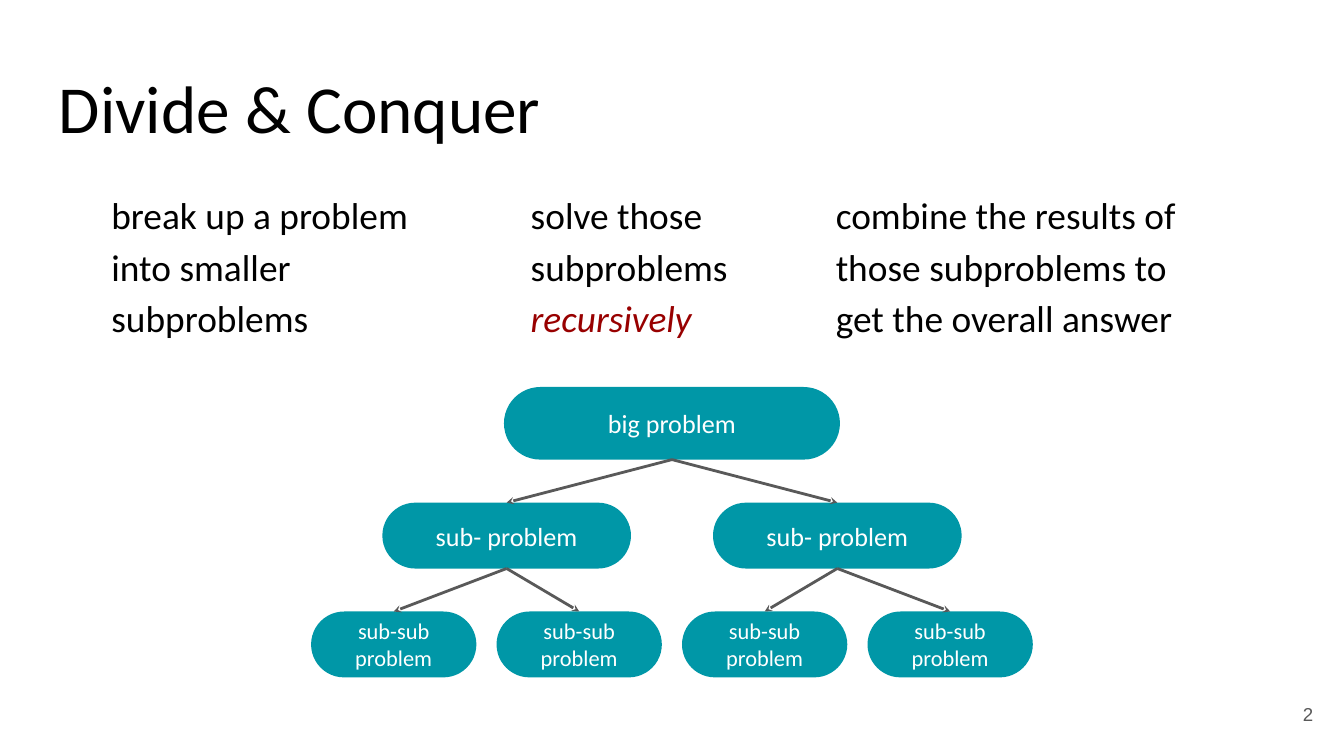
from pptx import Presentation
from pptx.dml.color import RGBColor
from pptx.enum.shapes import MSO_CONNECTOR, MSO_SHAPE
from pptx.enum.text import MSO_ANCHOR, PP_ALIGN
from pptx.oxml.ns import qn
from pptx.util import Inches, Pt
from lxml.etree import SubElement

THEME = {
    "font": "Calibri", "mono": "Arial",
    "ink": "000000", "accent": "980000", "node": "0097A7",
    "light": "FFFFFF", "gray": "595959",
    "title": 36, "body": 20, "page": 10, "line": 1.5,
}
TITLE = ("Divide & Conquer", (0.34, 0.44, 9.32, 0.71))
PAGE = ("2", (9.27, 5.1, 0.6, 0.43))
STEPS = [
    (0.73, 2.69, "break up a problem into smaller subproblems", ""),
    (3.85, 1.85, "solve those subproblems ", "recursively"),
    (6.12, 2.89, "combine the results of those subproblems to get the overall answer", ""),
]
LEVELS = [
    {"text": "big problem", "top": 2.88, "size": (2.5, 0.54), "pitch": 0, "font": 14},
    {"text": "sub- problem", "top": 3.74, "size": (1.85, 0.49), "pitch": 2.46, "font": 14},
    {"text": "sub-sub problem", "top": 4.55, "size": (1.23, 0.49), "pitch": 1.38, "font": 12},
]
MID = 5


def color(name):
    return RGBColor.from_string(THEME[name])


def write(shape, text, size, ink, align, anchor, face="font"):
    frame = shape.text_frame
    frame.word_wrap = True
    frame.vertical_anchor = anchor
    frame.margin_left = frame.margin_right = Inches(0.1)
    frame.margin_top = frame.margin_bottom = Inches(0.1)
    para = frame.paragraphs[0]
    para.add_run().text = text
    para.alignment = align
    para.font.size = Pt(size)
    para.font.name = THEME[face]
    para.font.color.rgb = color(ink)
    return para


def label(slide, box, *style):
    shape = slide.shapes.add_textbox(*map(Inches, box))
    return write(shape, *style)


def add_node(slide, level, center):
    wide, high = level["size"]
    box = (center - wide / 2, level["top"], wide, high)
    node = slide.shapes.add_shape(MSO_SHAPE.ROUNDED_RECTANGLE, *map(Inches, box))
    node.adjustments[0] = 0.5
    node.shadow.inherit = False
    node.fill.solid()
    node.fill.fore_color.rgb = color("node")
    node.line.fill.background()
    write(node, level["text"], level["font"], "light", PP_ALIGN.CENTER, MSO_ANCHOR.MIDDLE)
    return node


def link(slide, parent, child):
    arrow = slide.shapes.add_connector(MSO_CONNECTOR.STRAIGHT, 0, 0, 0, 0)
    arrow.begin_connect(parent, 2)
    arrow.end_connect(child, 0)
    arrow.line.color.rgb = color("gray")
    arrow.line.width = Pt(THEME["line"])
    SubElement(arrow.line._get_or_add_ln(), qn("a:tailEnd"), type="stealth", w="sm", len="sm")
    SubElement(arrow._element.spPr, qn("a:effectLst"))


def main():
    deck = Presentation()
    deck.slide_width = Inches(10)
    deck.slide_height = deck.slide_width * 9 // 16
    slide = deck.slides.add_slide(deck.slide_layouts[6])

    text, box = TITLE
    label(slide, box, text, THEME["title"], "ink", PP_ALIGN.LEFT, MSO_ANCHOR.MIDDLE)

    for left, wide, text, stress in STEPS:
        para = label(slide, (left, 1.28, wide, 1.4), text, THEME["body"], "ink",
                     PP_ALIGN.LEFT, MSO_ANCHOR.TOP)
        para.line_spacing = 1.15
        if stress:
            run = para.add_run()
            run.text = stress
            run.font.italic = True
            run.font.color.rgb = color("accent")

    tree = []
    for depth, level in enumerate(LEVELS):
        count = 2 ** depth
        start = MID - level["pitch"] * (count - 1) / 2
        tree.append([add_node(slide, level, start + i * level["pitch"]) for i in range(count)])

    for upper, lower in zip(tree, tree[1:]):
        for i, child in enumerate(lower):
            link(slide, upper[i // 2], child)

    text, box = PAGE
    label(slide, box, text, THEME["page"], "gray", PP_ALIGN.RIGHT, MSO_ANCHOR.MIDDLE, "mono")
    deck.save("out.pptx")


if __name__ == "__main__":
    main()
